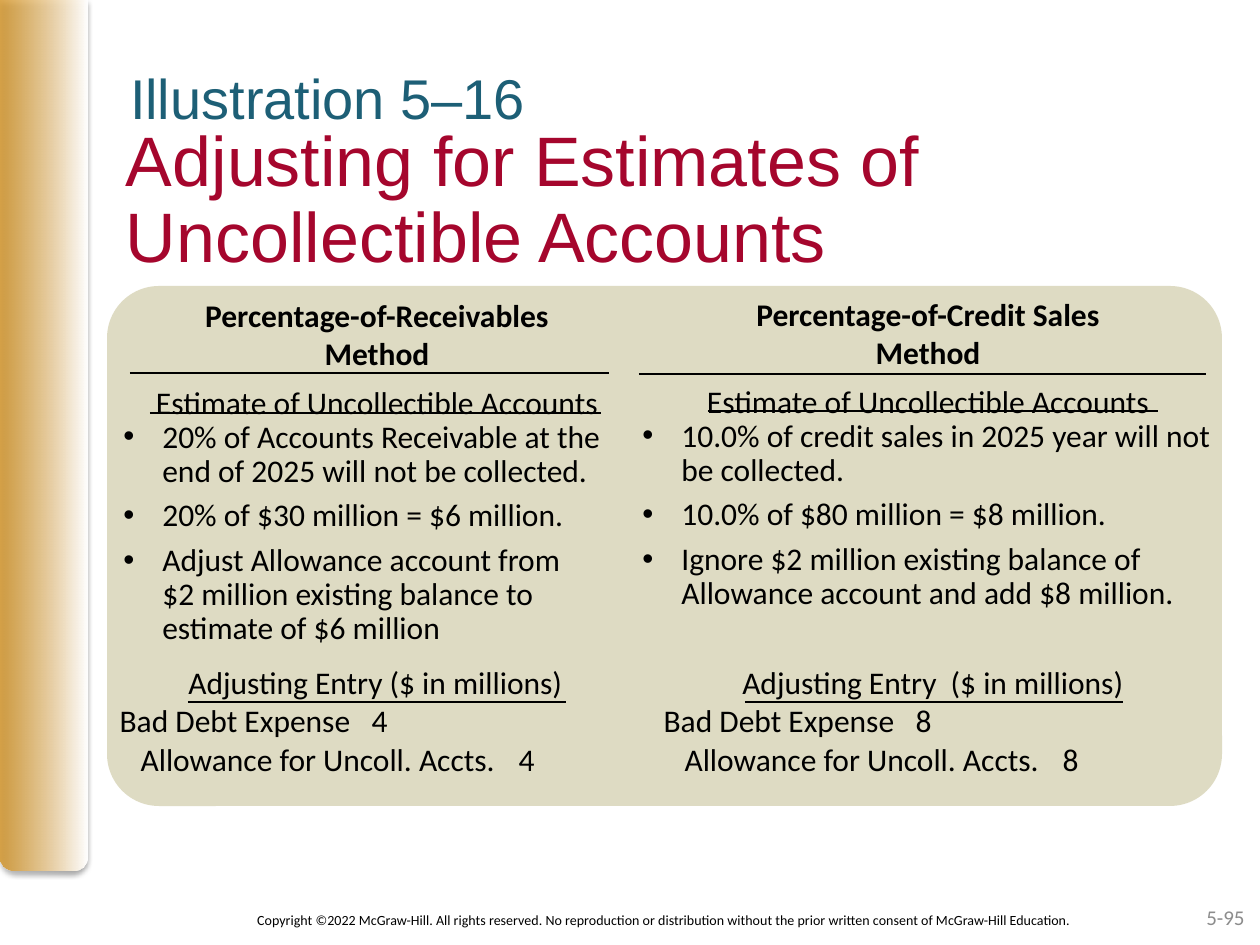
from lxml import etree
from pptx import Presentation
from pptx.dml.color import RGBColor
from pptx.enum.shapes import MSO_CONNECTOR, MSO_SHAPE
from pptx.enum.text import MSO_ANCHOR, MSO_AUTO_SIZE, PP_ALIGN
from pptx.oxml.ns import qn
from pptx.util import Emu, Pt

SCALE = 914400 / 126
LEFT, MID, RIGHT = PP_ALIGN.LEFT, PP_ALIGN.CENTER, PP_ALIGN.RIGHT
TOP, CENTER = MSO_ANCHOR.TOP, MSO_ANCHOR.MIDDLE
GROW, FIXED = MSO_AUTO_SIZE.SHAPE_TO_FIT_TEXT, MSO_AUTO_SIZE.NONE
LINE = MSO_CONNECTOR.STRAIGHT
ROUND, BAND = MSO_SHAPE.ROUNDED_RECTANGLE, MSO_SHAPE.ROUND_2_SAME_RECTANGLE
NO_STYLE = "{2D5ABB26-0587-4C30-8999-92F81FD0307C}"
BODY = {"name": "Calibri", "size": Pt(18), "bold": False}
HEAD = {**BODY, "bold": True}
CENTRED = {"alignment": MID}
SUBHEAD = {"alignment": MID, "line_spacing": 1.3}
ITEM = {"line_spacing": 0.9, "space_after": Pt(6)}
BULLET = 39
INDENT = 21


def px(num):
    """Turn pixels into EMU."""
    return Emu(round(num * SCALE))


def tint(color, code):
    """Set a colour from a hex string."""
    color.rgb = RGBColor.from_string(code)


def sub(node, tag, **attrs):
    """Append a child element and return it."""
    child = etree.SubElement(node, qn(tag))
    for key, val in attrs.items():
        child.set(key, str(val))
    return child


def style(item, form):
    """Set attributes from a dict."""
    for key, val in form.items():
        setattr(item, key, val)


def fade(color_node, share):
    """Give the colour an opacity in percent."""
    sub(color_node, "a:alpha", val=share * 1000)


def write(para, text, font, form, code="000000"):
    """Fill a paragraph with formatted text."""
    para.text = text
    style(para, form)
    for run in para.runs:
        style(run.font, font)
        tint(run.font.color, code)


def bullet(para):
    """Give a paragraph a hanging bullet."""
    props = para._p.get_or_add_pPr()
    props.set("marL", str(px(BULLET)))
    props.set("indent", str(-px(BULLET)))
    sub(props, "a:buFont", typeface="Arial")
    sub(props, "a:buChar", char="•")


def tab(para, left, stop):
    """Indent a paragraph and set its tab stop."""
    props = para._p.get_or_add_pPr()
    props.set("marL", str(px(left)))
    props.set("indent", "0")
    tabs = sub(props, "a:tabLst")
    sub(tabs, "a:tab", pos=px(stop), algn="l")


def frame(slide, box, form):
    """Add a wrapping text box and return its frame."""
    text = slide.shapes.add_textbox(*map(px, box)).text_frame
    style(text, {"word_wrap": True, **form})
    return text


def label(slide, box, text, font, code, para=None, form=None):
    """Add a text box with one paragraph."""
    area = frame(slide, box, form or {})
    write(area.paragraphs[0], text, font, para or {}, code)


def rule(slide, left, right, top):
    """Draw a thin black horizontal line."""
    line = slide.shapes.add_connector(LINE, px(left), px(top), px(right), px(top))
    line.line.width = Pt(0.75)
    tint(line.line.color, "000000")
    sub(line._element.spPr, "a:effectLst")


def side(slide, box):
    """Draw the fading gold band with its shadow."""
    band = slide.shapes.add_shape(BAND, *map(px, box))
    band.adjustments[0], band.adjustments[1] = 0, 0.17
    band.line.fill.background()
    band.fill.gradient()
    band.fill.gradient_angle = 0
    for stop, code, spot in zip(band.fill.gradient_stops, ("D49323", "FFFFFF"), (0, 1)):
        tint(stop.color, code)
        stop.position = spot
    props = band._element.spPr
    fade(next(props.iter(qn("a:srgbClr"))), 80)
    glow = sub(sub(props, "a:effectLst"), "a:outerShdw", blurRad=Pt(3.1),
               dist=Pt(1.8), dir=5400000, rotWithShape=0)
    fade(sub(glow, "a:srgbClr", val="000000"), 35)


def panel(slide, box):
    """Draw the rounded panel behind both methods."""
    back = slide.shapes.add_shape(ROUND, *map(px, box))
    back.shadow.inherit = False
    back.adjustments[0] = 0.1
    back.line.fill.background()
    back.fill.solid()
    tint(back.fill.fore_color, "D4D0B0")
    fade(next(back._element.spPr.iter(qn("a:srgbClr"))), 75)


def method(slide, box, name, items, rules):
    """Write one method with its heads, bullets and rules."""
    area = frame(slide, box, {"auto_size": GROW})
    heads = [(name, HEAD, CENTRED), ("Method", HEAD, CENTRED),
             ("Estimate of Uncollectible Accounts", BODY, SUBHEAD)]
    for num, (text, font, form) in enumerate(heads):
        para = area.add_paragraph() if num else area.paragraphs[0]
        write(para, text, font, form)
    for text in items:
        para = area.add_paragraph()
        bullet(para)
        write(para, text, BODY, ITEM)
    for left, right, top in rules:
        rule(slide, box[0] + left, box[0] + right, box[1] + top)


def entries(slide, box, cols):
    """Add the table of adjusting entries with ruled heads."""
    table = slide.shapes.add_table(1, len(cols), *map(px, box)).table
    style(table, {"first_row": False, "horz_banding": False})
    table._tbl.tblPr[0].text = NO_STYLE
    left = box[0]
    for num, (width, head, sum_, start) in enumerate(cols):
        table.columns[num].width = px(width)
        cell = table.cell(0, num)
        cell.fill.background()
        area = cell.text_frame
        write(area.paragraphs[0], head, BODY, CENTRED)
        rows = [("Bad Debt Expense", 0, 458), ("Allowance for Uncoll. Accts.", INDENT, 489)]
        for text, inset, stop in rows:
            para = area.add_paragraph()
            tab(para, inset, stop)
            write(para, f"{text}\t{sum_}", BODY, {"alignment": LEFT})
        rule(slide, left + start, left + start + 378, box[1] + 44)
        left += width


def titles(slide, box):
    """Write the number of the illustration and the title."""
    left, top, width, height = box
    flat = {"margin_left": 0, "margin_top": 0, "margin_right": 0,
            "margin_bottom": 0, "vertical_anchor": TOP, "auto_size": FIXED}
    label(slide, (left, top + 63, width, height - 63),
          "Adjusting for Estimates of Uncollectible Accounts",
          {"name": "Arial", "size": Pt(40)}, "A5062D", {"line_spacing": 0.9}, flat)
    label(slide, (left + 4, top, 726, 58), "Illustration 5–16",
          {"name": "Arial", "size": Pt(32)}, "1D5F76", {}, flat)


def footer(slide, box):
    """Write the copyright line and the page number."""
    left, top, width, height = box
    label(slide, (left, top + 13, 961, 30),
          "Copyright ©2022 McGraw-Hill. All rights reserved. No reproduction or "
          "distribution without the prior written consent of McGraw-Hill Education.",
          {"name": "Calibri", "size": Pt(8)}, "000000", CENTRED, {"auto_size": GROW})
    label(slide, (left + width - 294, top, 294, height), "5-95",
          {"name": "Calibri", "size": Pt(12)}, "8C8C8C",
          {"alignment": RIGHT}, {"vertical_anchor": CENTER})


def main():
    """Build and save the slide."""
    deck = Presentation()
    deck.slide_width, deck.slide_height = px(1260), px(945)
    slide = deck.slides.add_slide(deck.slide_layouts[6])
    side(slide, (0, 0, 87, 871))
    footer(slide, (184, 892, 1073, 50))
    panel(slide, (107, 286, 1115, 520))
    method(slide, (111, 290, 532, 367), "Percentage-of-Receivables", [
        "20% of Accounts Receivable at the end of 2025 will not be collected.",
        "20% of $30 million = $6 million.",
        "Adjust Allowance account from \v$2 million existing balance to estimate of $6 million",
    ], [(19, 498, 83), (39, 490, 123)])
    method(slide, (630, 289, 596, 377), "Percentage-of-Credit Sales", [
        "10.0% of credit sales in 2025 year will not be collected.",
        "10.0% of $80 million = $8 million.",
        "Ignore $2 million existing balance of Allowance account and add $8 million.",
    ], [(9, 576, 85), (78, 528, 122)])
    titles(slide, (126, 63, 1134, 251))
    entries(slide, (107, 658, 1115, 126), [
        (544, "Adjusting Entry ($ in millions) ", 4, 81),
        (571, "Adjusting Entry  ($ in millions) ", 8, 94)])
    deck.save("out.pptx")


if __name__ == "__main__":
    main()
